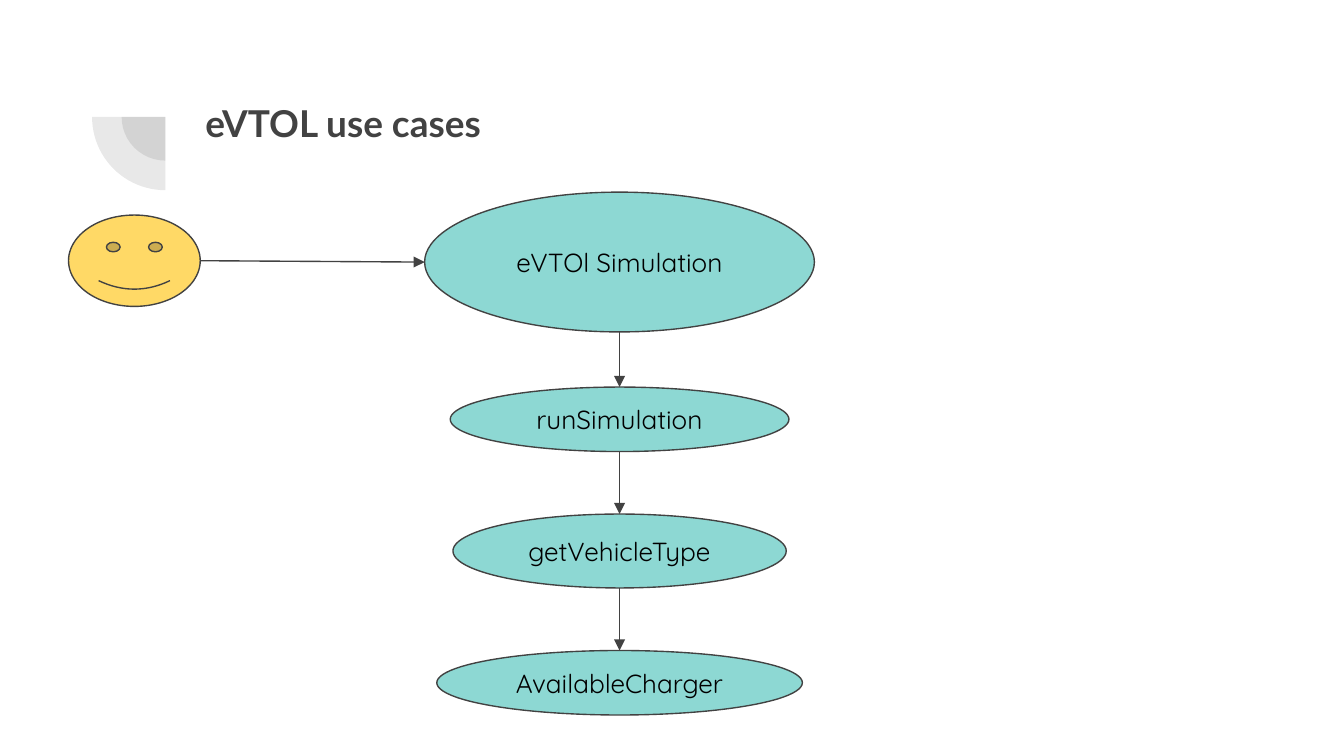
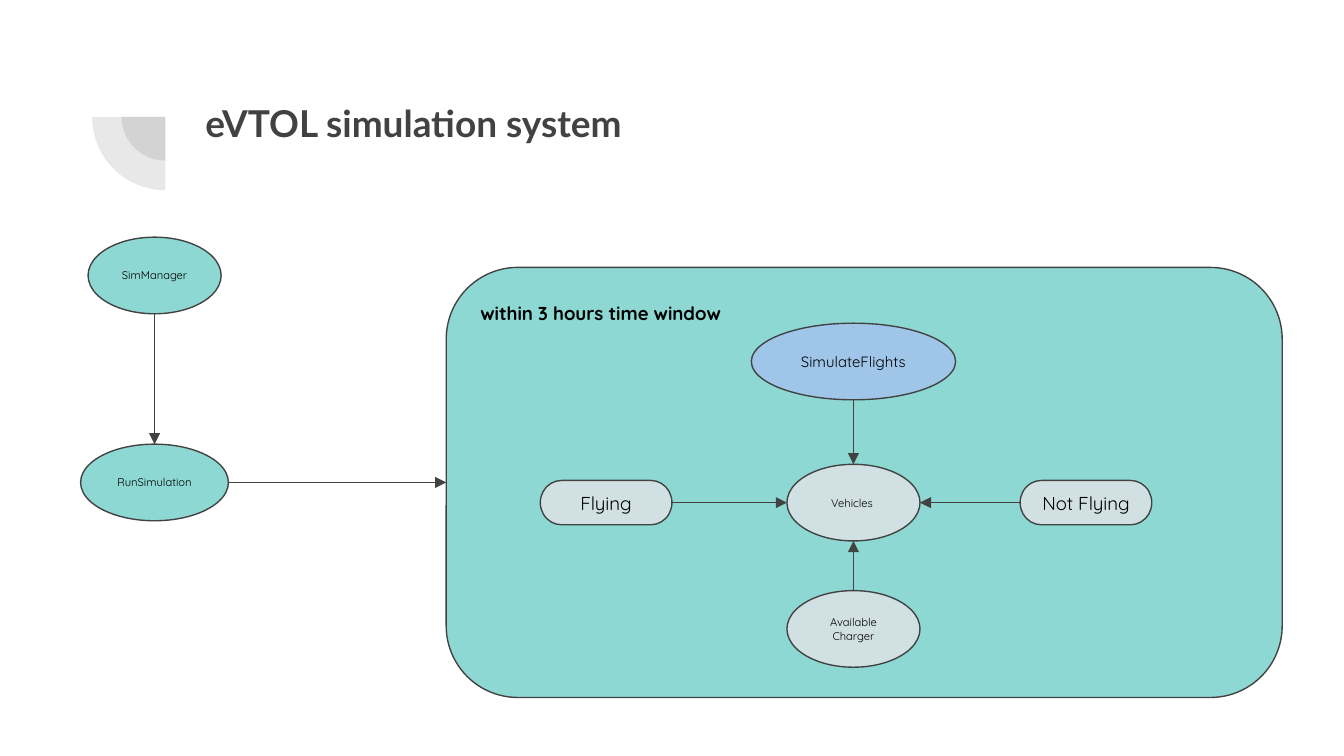
from lxml import etree
from pptx import Presentation
from pptx.dml.color import RGBColor
from pptx.enum.shapes import MSO_CONNECTOR, MSO_SHAPE
from pptx.enum.text import MSO_ANCHOR, PP_ALIGN
from pptx.oxml.ns import qn
from pptx.util import Inches, Pt

OVAL = MSO_SHAPE.OVAL
DOT = MSO_SHAPE.FLOWCHART_CONNECTOR
PILL = MSO_SHAPE.FLOWCHART_TERMINATOR
ROUND = MSO_SHAPE.ROUNDED_RECTANGLE
SMILE = MSO_SHAPE.SMILEY_FACE
PIE = MSO_SHAPE.PIE
STRAIGHT = MSO_CONNECTOR.STRAIGHT
TOP, MIDDLE = MSO_ANCHOR.TOP, MSO_ANCHOR.MIDDLE
LEFT, CENTER = PP_ALIGN.LEFT, PP_ALIGN.CENTER

DARK = RGBColor(0x42, 0x42, 0x42)
BLACK = RGBColor(0, 0, 0)
TEAL = RGBColor(0x8D, 0xD8, 0xD3)
BLUE = RGBColor(0x9F, 0xC5, 0xE8)
GRAY = RGBColor(0xD0, 0xE0, 0xE3)
GOLD = RGBColor(0xFF, 0xD9, 0x66)

WIDE = 10
HIGH = WIDE * 9 / 16
HEAD, BODY = "Lato", "Quicksand"
INSET = 0.1
HUB = (1.23, 0.87)    # centre of the corner mark
ARCS = (0.65, 1.09)   # diameters of its quarter discs

# Column centres, row centre and common node sizes
MAIN = 4.61
SIDE = 1.15
CORE = 6.35
ROW = 3.74
EGG = (0.99, 0.57)
TAB = (0.98, 0.33)

# Nodes: key: (shape, centre x, centre y, (width, height), fill, text, size)
# Arrows: (from key, side, to key, side)
SLIDES = [
    {
        "title": "eVTOL use cases",
        "nodes": {
            "user": (SMILE, 1.0, 1.94, (0.98, 0.68), GOLD, "", 14),
            "sim": (OVAL, MAIN, 1.95, (2.9, 1.04), TEAL, "eVTOl Simulation", 14),
            "run": (DOT, MAIN, 3.12, (2.52, 0.48), TEAL, "runSimulation", 14),
            "type": (DOT, MAIN, 4.1, (2.48, 0.55), TEAL, "getVehicleType", 14),
            "plug": (DOT, MAIN, 5.08, (2.72, 0.48), TEAL, "AvailableCharger", 14),
        },
        "arrows": [
            ("user", "right", "sim", "left"),
            ("sim", "bottom", "run", "top"),
            ("run", "bottom", "type", "top"),
            ("type", "bottom", "plug", "top"),
        ],
    },
    {
        "title": "eVTOL simulation system",
        "nodes": {
            "boss": (OVAL, SIDE, 2.05, EGG, TEAL, "SimManager", 6),
            "run": (OVAL, SIDE, 3.59, (1.1, 0.57), TEAL, "RunSimulation", 6),
            "frame": (ROUND, 6.43, 3.59, (6.22, 3.2), TEAL,
                      "within 3 hours time window", 10),
            "sim": (OVAL, CORE, 2.69, (1.52, 0.57), BLUE, "SimulateFlights", 8),
            "cars": (OVAL, CORE, ROW, EGG, GRAY, "Vehicles ", 6),
            "plug": (OVAL, CORE, 4.68, EGG, GRAY, "Available Charger", 6),
            "up": (PILL, 4.51, ROW, TAB, GRAY, "Flying", 10),
            "down": (PILL, 8.08, ROW, TAB, GRAY, "Not Flying", 10),
        },
        "arrows": [
            ("boss", "bottom", "run", "top"),
            ("run", "right", "frame", "left"),
            ("sim", "bottom", "cars", "top"),
            ("up", "right", "cars", "left"),
            ("down", "left", "cars", "right"),
            ("plug", "top", "cars", "bottom"),
        ],
    },
]

# Direction from a node's centre to each side
SIDES = {"left": (-0.5, 0), "right": (0.5, 0), "top": (0, -0.5), "bottom": (0, 0.5)}


def put_text(shape, text, face, size, color, bold=False, align=LEFT, anchor=TOP):
    frame = shape.text_frame
    frame.word_wrap = True
    frame.vertical_anchor = anchor
    frame.margin_left = frame.margin_right = Inches(INSET)
    frame.margin_top = frame.margin_bottom = Inches(INSET)
    para = frame.paragraphs[0]
    para.text = text
    para.alignment = align
    font = para.font
    font.name, font.size, font.bold = face, Pt(size), bold
    font.color.rgb = color


def add_form(slide, kind, x, y, size, fill):
    """Add a filled shape centred on x, y."""
    w, h = size
    form = slide.shapes.add_shape(
        kind, Inches(x - w / 2), Inches(y - h / 2), Inches(w), Inches(h))
    form.shadow.inherit = False
    form.fill.solid()
    form.fill.fore_color.rgb = fill
    return form


def add_head(slide, title):
    """Corner mark and title, shared by all slides."""
    for size in ARCS:
        arc = add_form(slide, PIE, *HUB, (size, size), DARK)
        arc.rotation = 270
        arc.adjustments[0], arc.adjustments[1] = 107.93, 162
        arc.line.fill.background()
        tint = arc.fill._xPr.find(qn("a:solidFill"))[0]
        etree.SubElement(tint, qn("a:alpha")).set("val", "12000")
    box = slide.shapes.add_textbox(
        Inches(1.43), Inches(0.65), Inches(4.45), Inches(0.55))
    put_text(box, title, HEAD, 19.8, DARK, bold=True)


def add_node(slide, kind, x, y, size, fill, text, points):
    node = add_form(slide, kind, x, y, size, fill)
    node.line.color.rgb = DARK
    node.line.width = Pt(0.75)
    if kind == ROUND:
        put_text(node, text, BODY, points, BLACK, bold=True)
    elif text:
        put_text(node, text, BODY, points, BLACK, align=CENTER, anchor=MIDDLE)


def edge(node, side):
    x, y, (w, h) = node[1:4]
    dx, dy = SIDES[side]
    return Inches(x + dx * w), Inches(y + dy * h)


def add_arrow(slide, start, end):
    arrow = slide.shapes.add_connector(STRAIGHT, *start, *end)
    arrow.line.color.rgb = DARK
    arrow.line.width = Pt(0.75)
    tip = etree.SubElement(arrow.line._get_or_add_ln(), qn("a:tailEnd"))
    tip.set("type", "triangle")
    etree.SubElement(arrow._element.spPr, qn("a:effectLst"))


def main():
    deck = Presentation()
    deck.slide_width, deck.slide_height = Inches(WIDE), Inches(HIGH)
    for page in SLIDES:
        slide = deck.slides.add_slide(deck.slide_layouts[6])
        add_head(slide, page["title"])
        nodes = page["nodes"]
        for node in nodes.values():
            add_node(slide, *node)
        for a, out, b, into in page["arrows"]:
            add_arrow(slide, edge(nodes[a], out), edge(nodes[b], into))
    deck.save("out.pptx")


if __name__ == "__main__":
    main()
